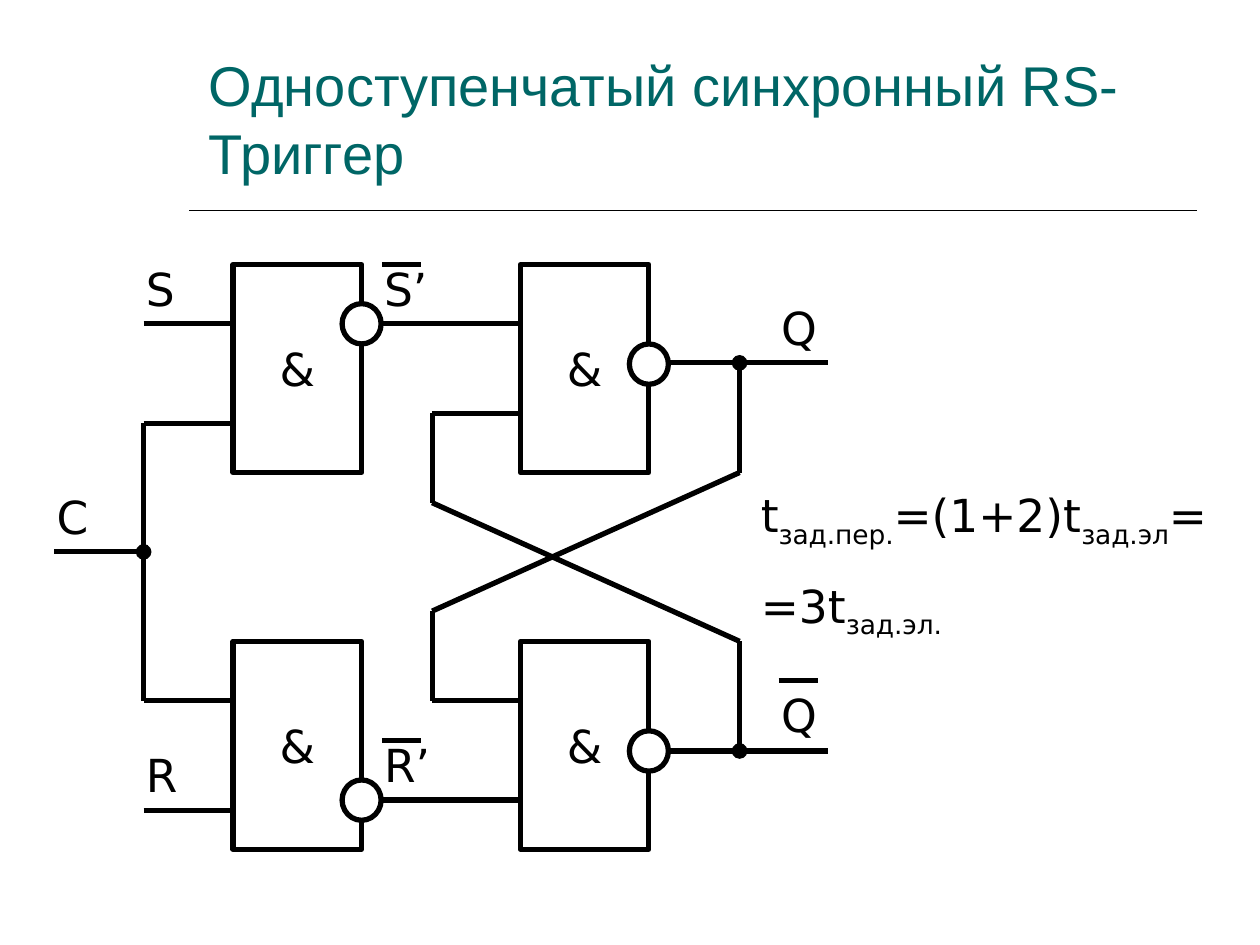
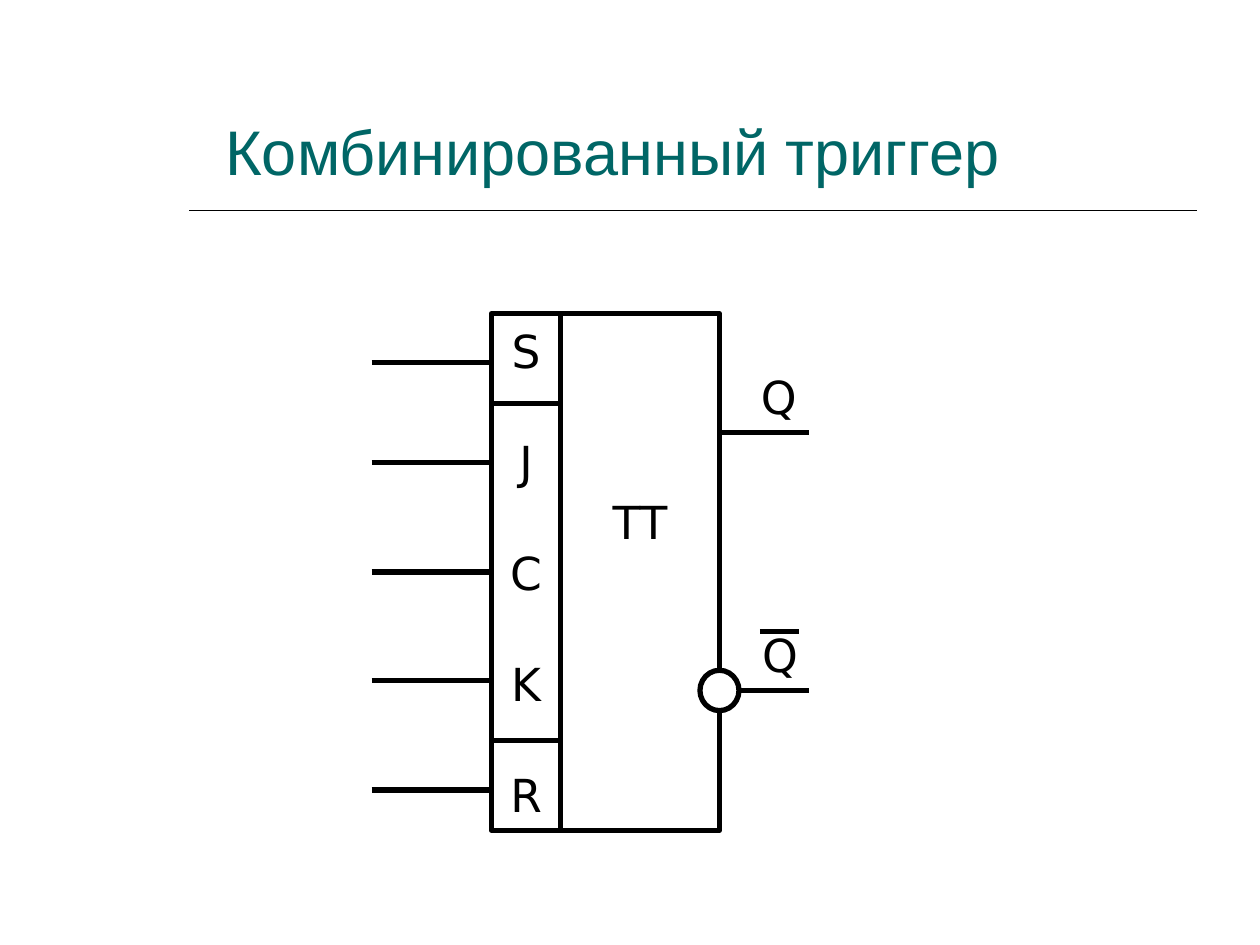
from dataclasses import dataclass

from lxml import etree
from pptx import Presentation
from pptx import util as u
from pptx.dml.color import RGBColor
from pptx.enum import shapes, text
from pptx.oxml.ns import qn


@dataclass(frozen=True)
class Theme:
    ink: RGBColor = RGBColor(0x00, 0x00, 0x00)
    paper: RGBColor = RGBColor(0xFF, 0xFF, 0xFF)
    title: RGBColor = RGBColor(0x00, 0x66, 0x66)
    title_font: str = "Arial"
    label_font: str = "DejaVu Sans"
    label_size: int = 26
    wire_width: int = 3
    rule_width: int = 1


THEME = Theme()
GATE_WIDTH, GATE_HEIGHT = 1.02, 1.65
BUBBLE_WIDTH, BUBBLE_HEIGHT = 0.31, 0.32


@dataclass(frozen=True)
class Box:
    """A region of the slide, in inches."""
    left: float
    top: float
    width: float
    height: float

    def point(self, x, y):
        return self.left + x, self.top + y

    def inner(self, x, y, width, height):
        return Box(*self.point(x, y), width, height)

    def lengths(self):
        return [u.Inches(n) for n in (self.left, self.top, self.width, self.height)]


def write(frame, lines, size=THEME.label_size, font=THEME.label_font, color=THEME.ink,
          align=text.PP_ALIGN.LEFT, anchor=text.MSO_ANCHOR.TOP, wrap=True, gap=0, bottom=0.05):
    """Fill a text frame; every second part between bars in a line is a subscript."""
    frame.word_wrap = wrap
    frame.vertical_anchor = anchor
    frame.margin_left = frame.margin_right = u.Inches(0.1)
    frame.margin_top, frame.margin_bottom = u.Inches(0.05), u.Inches(bottom)
    for row, line in enumerate(lines):
        paragraph = frame.add_paragraph() if row else frame.paragraphs[0]
        paragraph.alignment = align
        if row:
            paragraph.space_before = u.Pt(gap)
        for index, part in enumerate(line.split("|")):
            if not part:
                continue
            run = paragraph.add_run()
            run.text = part
            run.font.size = u.Pt(size)
            run.font.name = font
            run.font.color.rgb = color
            if index % 2:
                run._r.get_or_add_rPr().set("baseline", "-25000")


def add_text(slide, box, lines, **style):
    write(slide.shapes.add_textbox(*box.lengths()).text_frame, lines, **style)


def add_line(slide, start, end, width=THEME.wire_width, dot=False):
    ends = [u.Inches(n) for n in (*start, *end)]
    line = slide.shapes.add_connector(shapes.MSO_CONNECTOR.STRAIGHT, *ends)
    line.line.color.rgb = THEME.ink
    line.line.width = u.Pt(width)
    if dot:
        etree.SubElement(line.line._get_or_add_ln(), qn("a:headEnd"), type="oval")
    etree.SubElement(line._element.spPr, qn("a:effectLst"))
    return line


def add_wire(slide, box, *points, dot=False):
    """Join points given relative to the box; dot marks a junction at the first."""
    points = [box.point(*point) for point in points]
    for index, (start, end) in enumerate(zip(points, points[1:])):
        add_line(slide, start, end, dot=dot and index == 0)


def add_outlined(slide, kind, box):
    shape = slide.shapes.add_shape(kind, *box.lengths())
    shape.shadow.inherit = False
    shape.fill.solid()
    shape.fill.fore_color.rgb = THEME.paper
    shape.line.color.rgb = THEME.ink
    shape.line.width = u.Pt(THEME.wire_width)
    return shape


def add_block(slide, box, lines, **style):
    block = add_outlined(slide, shapes.MSO_SHAPE.RECTANGLE, box)
    write(block.text_frame, lines, align=text.PP_ALIGN.CENTER,
          anchor=text.MSO_ANCHOR.MIDDLE, wrap=False, **style)
    return block


def add_bubble(slide, block, y):
    """Mark an inverted output on the right side of a block."""
    bubble = block.inner(block.width - BUBBLE_WIDTH / 2, y - BUBBLE_HEIGHT / 2,
                         BUBBLE_WIDTH, BUBBLE_HEIGHT)
    add_outlined(slide, shapes.MSO_SHAPE.OVAL, bubble)


def add_gate(slide, box, bubble_y):
    add_block(slide, box, ["&"])
    add_bubble(slide, box, bubble_y)


def add_label(slide, box, name, x, y, bar=None):
    """Name a signal; bar is how far below the label's top its overbar lies."""
    label = box.inner(x, y, 0.71, 0.54)
    add_text(slide, label, [name])
    if bar is not None:
        add_wire(slide, label, (0.08, bar), (0.39, bar))


def add_titled_slide(presentation, title, box, size):
    slide = presentation.slides.add_slide(presentation.slide_layouts[6])
    add_line(slide, (1.5, 1.67), (9.5, 1.67), width=THEME.rule_width)
    add_text(slide, box, [title], size=size, font=THEME.title_font,
             color=THEME.title, anchor=text.MSO_ANCHOR.BOTTOM)
    return slide


def draw_latch_circuit(slide, box):
    clock_x, input_x, feedback_x, latch_x, node_x = 0.71, 1.42, 3.0, 3.7, 5.44
    lower = box.height - GATE_HEIGHT
    clock, output, inverse = (clock_x, 2.28), (node_x, 0.78), (node_x, 3.86)

    for y in (0.47, 4.33):
        add_wire(slide, box, (clock_x, y), (input_x, y))
    add_wire(slide, box, (0, clock[1]), clock)
    add_wire(slide, box, clock, (clock_x, 1.26), (input_x, 1.26), dot=True)
    add_wire(slide, box, clock, (clock_x, 3.46), (input_x, 3.46))
    for y in (0.47, 4.25):
        add_wire(slide, box, (input_x + GATE_WIDTH, y), (latch_x, y))
    for _, y in (output, inverse):
        add_wire(slide, box, (latch_x + GATE_WIDTH, y), (box.width, y))
    add_wire(slide, box, output, (node_x, GATE_HEIGHT), (feedback_x, 2.75),
             (feedback_x, 3.46), (latch_x, 3.46), dot=True)
    add_wire(slide, box, inverse, (node_x, lower), (feedback_x, 1.89),
             (feedback_x, 1.18), (latch_x, 1.18), dot=True)

    for x, y, bubble_y in ((input_x, 0, 0.47), (input_x, lower, 1.26),
                           (latch_x, 0, 0.79), (latch_x, lower, 0.87)):
        add_gate(slide, box.inner(x, y, GATE_WIDTH, GATE_HEIGHT), bubble_y)

    for name, x, y, bar in (("S", 0.63, -0.08, None), ("R", 0.63, 3.78, None),
                            ("С", -0.08, 1.73, None), ("S’", 2.52, -0.08, 0.08),
                            ("R’", 2.52, 3.7, 0.08), ("Q", 5.67, 0.23, None),
                            ("Q", 5.67, 3.3, 0)):
        add_label(slide, box, name, x, y, bar)


def draw_trigger_symbol(slide, box):
    lead, pins_width, body_width, output_lead = 0.95, 0.55, 1.26, 0.71
    body_x = lead + pins_width
    right = body_x + body_width
    output_y, inverse_y = 0.94, 2.99
    body = box.inner(body_x, 0, body_width, box.height)

    pins = add_block(slide, box.inner(lead, 0, pins_width, box.height),
                     ["S", "J", "С", "K", "R"], gap=32.2)
    add_block(slide, body, ["TT"], bottom=0.86)
    for y in (output_y, inverse_y):
        add_wire(slide, box, (right, y), (right + output_lead, y))
    add_bubble(slide, body, inverse_y)

    for y in (0.39, 1.18, 2.91, 3.78):
        add_wire(slide, box, (0, y), (lead, y))
    middle = box.height / 2
    clock = add_line(slide, box.point(0, middle), box.point(lead, middle))
    clock.end_connect(pins, 1)
    for y in (0.71, 3.39):
        add_wire(slide, box, (lead, y), (body_x, y))

    add_label(slide, box, "Q", right + 0.23, output_y - 0.55)
    add_label(slide, box, "Q", right + 0.24, inverse_y - 0.55, bar=0.08)


def main():
    presentation = Presentation()
    presentation.slide_width, presentation.slide_height = u.Inches(10), u.Inches(7.5)

    slide = add_titled_slide(presentation, "Одноступенчатый синхронный RS-Триггер",
                             Box(1.56, 0.39, 7.88, 1.13), size=32)
    draw_latch_circuit(slide, Box(0.43, 2.1, 6.14, 4.64))
    add_text(slide, Box(5.94, 3.82, 4.06, 1.31),
             ["t|зад.пер.|=(1+2)t|зад.эл|=", "=3t|зад.эл.|"], gap=16.2)

    slide = add_titled_slide(presentation, "Комбинированный триггер",
                             Box(1.69, 0.08, 7.84, 1.46), size=36)
    draw_trigger_symbol(slide, Box(2.95, 2.49, 3.47, 4.1))

    presentation.save("out.pptx")


if __name__ == "__main__":
    main()
